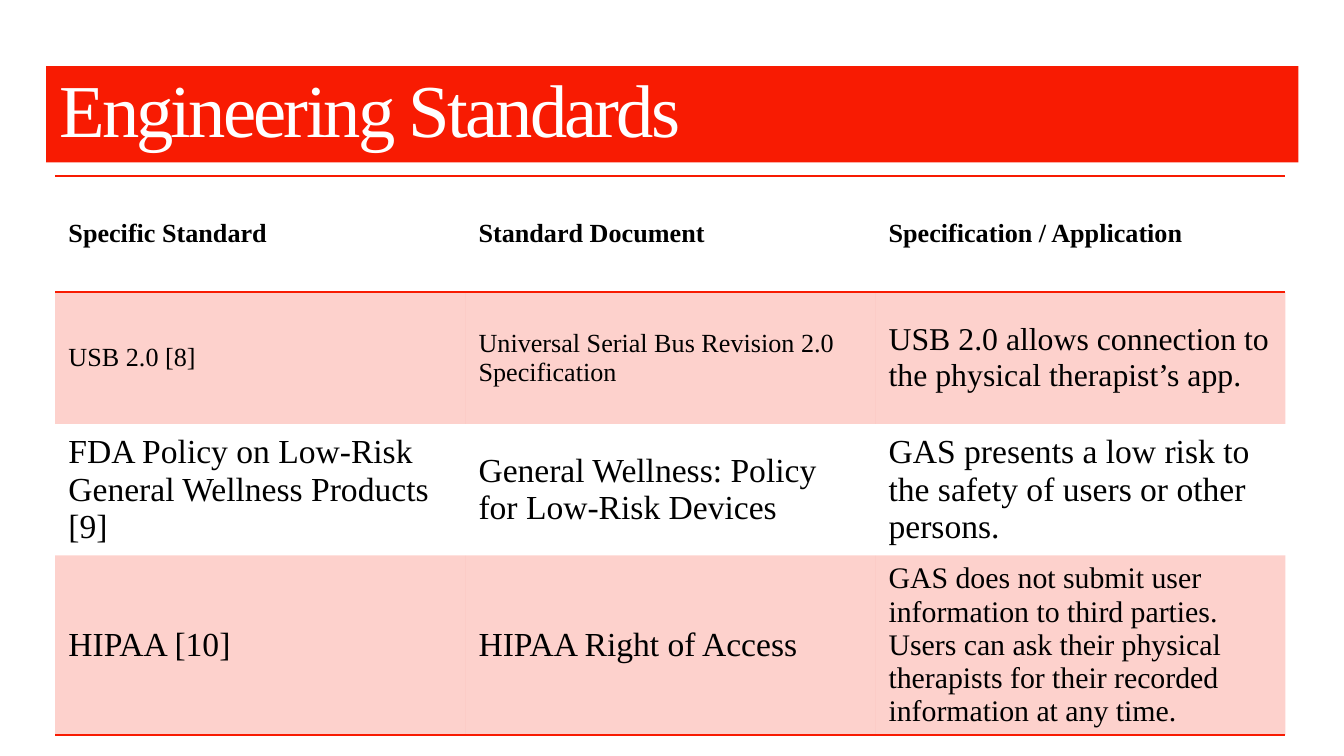
from dataclasses import dataclass

from lxml import etree
from pptx import Presentation
from pptx.dml.color import RGBColor
from pptx.enum.text import MSO_ANCHOR, MSO_AUTO_SIZE, PP_ALIGN
from pptx.oxml.ns import qn
from pptx.util import Cm, Pt

MIDDLE = MSO_ANCHOR.MIDDLE
LEFT = PP_ALIGN.LEFT
NO_AUTOFIT = MSO_AUTO_SIZE.NONE

COLORS = {"accent": "F81B02", "title": "FFFFFF", "text": "000000"}
FONT = "Times New Roman"
PLAIN_TABLE_STYLE = "{2D5ABB26-0587-4C30-8999-92F81FD0307C}"
TITLE_ONLY_LAYOUT = 5
COLUMN_WIDTH = Cm(7.75)


@dataclass
class Row:
    height: float
    texts: tuple[str, str, str]
    sizes: tuple[int, int, int]
    bold: bool = False
    tinted: bool = False
    borders: tuple[str, ...] = ()


ROWS = [
    Row(2.19, ("Specific Standard", "Standard Document",
               "Specification / Application"),
        (14, 14, 14), bold=True, borders=("a:lnT", "a:lnB")),
    Row(2.49, ("USB 2.0 [8]", "Universal Serial Bus Revision 2.0 Specification",
               "USB 2.0 allows connection to the physical therapist’s app."),
        (14, 14, 17), tinted=True),
    Row(2.49, ("FDA Policy on Low-Risk General Wellness Products [9]",
               "General Wellness: Policy for Low-Risk Devices",
               "GAS presents a low risk to the safety of users or other persons."),
        (18, 18, 18)),
    Row(3.25, ("HIPAA [10]", "HIPAA Right of Access",
               "GAS does not submit user information to third parties. Users can "
               "ask their physical therapists for their recorded information at "
               "any time."),
        (18, 18, 16), tinted=True, borders=("a:lnB",)),
]


def style_font(font, size: int, color: str, bold: bool = False) -> None:
    font.name = FONT
    font.size = Pt(size)
    font.bold = bold
    font.color.rgb = RGBColor.from_string(COLORS[color])


def add_border(cell, side: str) -> None:
    line = etree.SubElement(cell._tc.get_or_add_tcPr(), qn(side), w=str(Pt(1)))
    fill = etree.SubElement(line, qn("a:solidFill"))
    etree.SubElement(fill, qn("a:srgbClr"), val=COLORS["accent"])


def fill_cell(cell, tinted: bool) -> None:
    if not tinted:
        cell.fill.background()
        return
    cell.fill.solid()
    cell.fill.fore_color.rgb = RGBColor.from_string(COLORS["accent"])
    color = cell._tc.tcPr.find(qn("a:solidFill")).find(qn("a:srgbClr"))
    etree.SubElement(color, qn("a:alpha"), val="20000")


def format_title(title) -> None:
    title.left, title.top = Cm(0.87), Cm(1.25)
    title.width, title.height = Cm(23.67), Cm(1.82)
    title.fill.solid()
    title.fill.fore_color.rgb = RGBColor.from_string(COLORS["accent"])
    frame = title.text_frame
    frame.text = "Engineering Standards"
    frame.auto_size = NO_AUTOFIT
    frame.vertical_anchor = MIDDLE
    frame.margin_left = frame.margin_right = Cm(0.25)
    frame.margin_top = frame.margin_bottom = Cm(0.25)
    para = frame.paragraphs[0]
    para.alignment = LEFT
    para.line_spacing = 0.85
    style_font(para.font, 40, "title")
    # Tighter letter spacing
    para.runs[0]._r.get_or_add_rPr().set("spc", "-150")


def add_standards_table(page, rows: list[Row]) -> None:
    columns = len(rows[0].texts)
    height = Cm(sum(row.height for row in rows))
    table = page.shapes.add_table(len(rows), columns, Cm(1.04), Cm(3.33),
                                  COLUMN_WIDTH * columns, height).table
    table.first_row = table.horz_banding = False
    table._tbl.tblPr.find(qn("a:tableStyleId")).text = PLAIN_TABLE_STYLE
    for column in table.columns:
        column.width = COLUMN_WIDTH
    for index, row in enumerate(rows):
        table.rows[index].height = Cm(row.height)
        for cell, text, size in zip(table.rows[index].cells, row.texts, row.sizes):
            cell.text = text
            cell.vertical_anchor = MIDDLE
            style_font(cell.text_frame.paragraphs[0].font, size, "text", row.bold)
            for side in row.borders:
                add_border(cell, side)
            fill_cell(cell, row.tinted)


def main() -> None:
    deck = Presentation()
    deck.slide_width, deck.slide_height = Cm(25.4), Cm(14.29)
    page = deck.slides.add_slide(deck.slide_layouts[TITLE_ONLY_LAYOUT])

    # Title band
    format_title(page.shapes.title)

    # Standards and where they apply
    add_standards_table(page, ROWS)

    deck.save("out.pptx")


if __name__ == "__main__":
    main()
